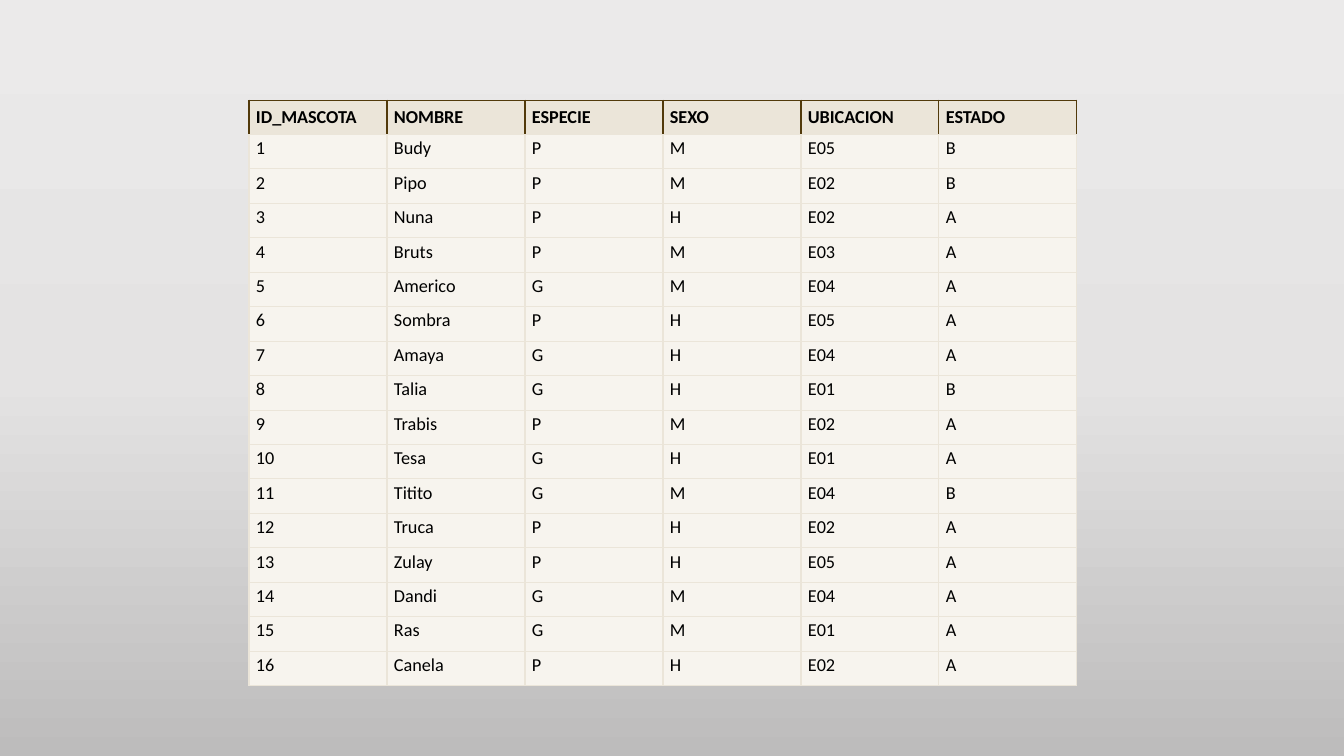
from copy import deepcopy

from lxml.etree import SubElement as Sub
from pptx import Presentation
from pptx.dml.color import RGBColor as RGB
from pptx.enum.text import MSO_ANCHOR as Anchor
from pptx.oxml.ns import qn
from pptx.util import Emu, Inches, Pt

PX = Inches(1) / 100.8
BLACK = RGB(0x00, 0x00, 0x00)
BROWN = RGB(0x52, 0x3A, 0x0B)
SAND = RGB(0xEB, 0xE5, 0xD9)
CREAM = RGB(0xF7, 0xF4, 0xEE)
GREYS = [
    (0, RGB(0xEB, 0xEA, 0xEA)),
    (0.5, RGB(0xE4, 0xE3, 0xE3)),
    (1, RGB(0xBD, 0xBC, 0xBC)),
]
HEADS = ["ID_MASCOTA", "NOMBRE", "ESPECIE", "SEXO", "UBICACION", "ESTADO"]
PETS = [
    ("Budy", "P", "M", "E05", "B"),
    ("Pipo", "P", "M", "E02", "B"),
    ("Nuna", "P", "H", "E02", "A"),
    ("Bruts", "P", "M", "E03", "A"),
    ("Americo", "G", "M", "E04", "A"),
    ("Sombra", "P", "H", "E05", "A"),
    ("Amaya", "G", "H", "E04", "A"),
    ("Talia", "G", "H", "E01", "B"),
    ("Trabis", "P", "M", "E02", "A"),
    ("Tesa", "G", "H", "E01", "A"),
    ("Titito", "G", "M", "E04", "B"),
    ("Truca", "P", "H", "E02", "A"),
    ("Zulay", "P", "H", "E05", "A"),
    ("Dandi", "G", "M", "E04", "A"),
    ("Ras", "G", "M", "E01", "A"),
    ("Canela", "P", "H", "E02", "A"),
]


def px(n):
    return Emu(round(n * PX))


def edge(cell, side, color, width):
    """Draw one border of a cell; side is L, R, T or B."""
    line = Sub(cell._tc.get_or_add_tcPr(), qn(f"a:ln{side}"), w=str(Pt(width)))
    Sub(Sub(line, qn("a:solidFill")), qn("a:srgbClr"), val=str(color))


prs = Presentation()
prs.slide_width, prs.slide_height = px(1344), px(756)
slide = prs.slides.add_slide(prs.slide_layouts[6])

# Background
fill = slide.background.fill
fill.gradient()
fill.gradient_angle = 270
stops = slide.element.find(".//" + qn("a:gsLst"))
stops.append(deepcopy(stops[0]))
for stop, (pos, grey) in zip(fill.gradient_stops, GREYS):
    stop.position = pos
    stop.color.rgb = grey

# Table of pets
rows = [HEADS] + [(str(i), *pet) for i, pet in enumerate(PETS, 1)]
wide, high = px(828), px(586)
table = slide.shapes.add_table(
    len(rows), len(HEADS), px(249), px(100), wide, high).table
table.first_row = table.horz_banding = False
for col in table.columns:
    col.width = Emu(wide // len(HEADS))
for r, row in enumerate(rows):
    table.rows[r].height = Emu(high // len(rows))
    head = r == 0
    rim = BROWN if head else SAND
    for c, text in enumerate(row):
        cell = table.cell(r, c)
        edge(cell, "L", rim, 1)
        edge(cell, "R", rim, 1)
        edge(cell, "T", rim, 0.75)
        edge(cell, "B", SAND, 0.75)
        cell.fill.solid()
        cell.fill.fore_color.rgb = SAND if head else CREAM
        cell.margin_left = cell.margin_right = px(7)
        cell.margin_top = cell.margin_bottom = px(3)
        cell.vertical_anchor = Anchor.MIDDLE if head else Anchor.TOP
        run = cell.text_frame.paragraphs[0].add_run()
        run.text = text
        font = run.font
        font.name, font.size, font.bold = "Calibri", Pt(13), head
        font.color.rgb = BLACK

prs.save("out.pptx")
